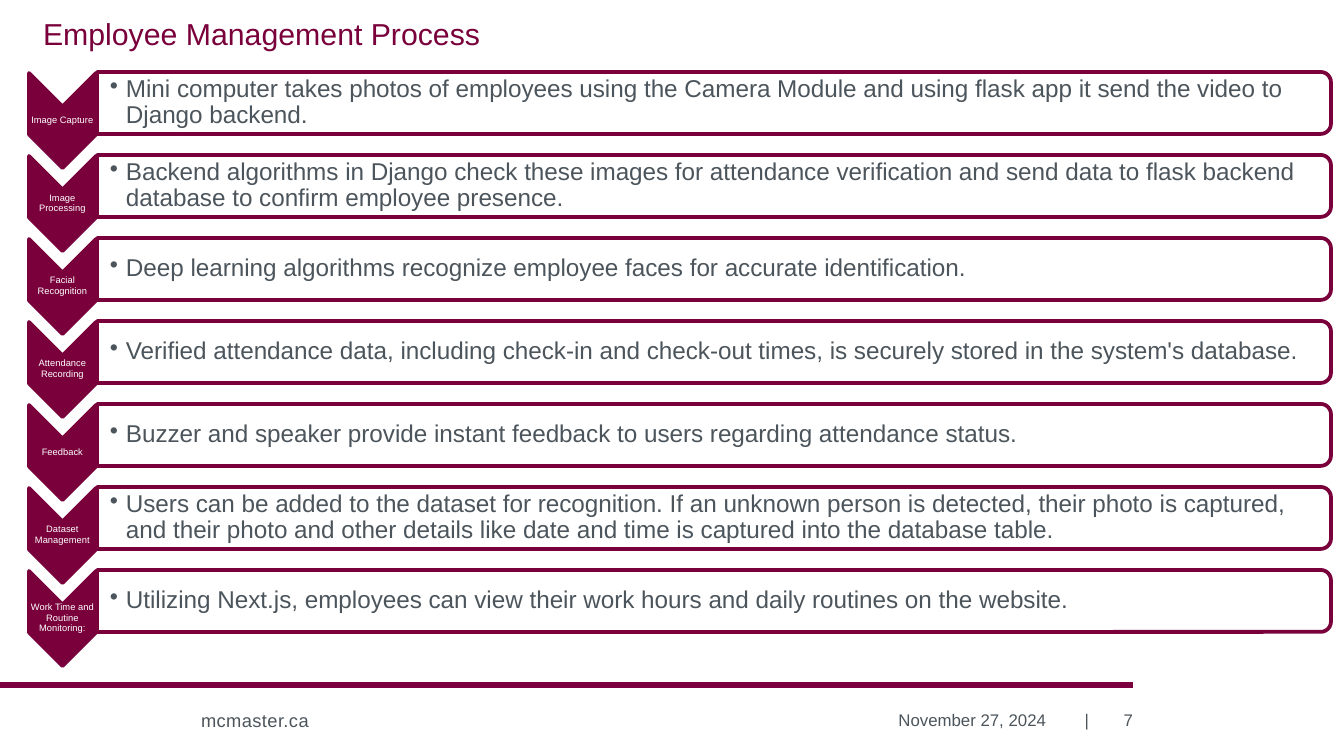
from dataclasses import dataclass

from lxml import etree
from pptx import Presentation
from pptx import util as u
from pptx.dml import color
from pptx.enum import shapes, text
from pptx.oxml import ns

PX = 914400 / 134.4  # EMU in one px
FONT = "Arial"
MAROON, RULE_MAROON, GREY, WHITE = "79003B", "7C0040", "4C555C", "FFFFFF"
ROW_PITCH = 83


@dataclass
class Box:
    left: int
    top: int
    width: int
    height: int

    def below(self, distance: int) -> "Box":
        return Box(self.left, self.top + distance, self.width, self.height)


@dataclass
class Step:
    label: str
    detail: str


CHEVRON = Box(29, 73, 67, 95)
LABEL = Box(29, 106, 67, 28)
PANEL = Box(97, 72, 1234, 62)
DETAIL = Box(97, 75, 1231, 56)

STEPS = [
    Step("Image Capture",
         "Mini computer takes photos of employees using the Camera Module and "
         "using flask app it send the video to Django backend."),
    Step("Image Processing",
         "Backend algorithms in Django check these images for attendance "
         "verification and send data to flask backend database to confirm "
         "employee presence."),
    Step("Facial Recognition",
         "Deep learning algorithms recognize employee faces for accurate "
         "identification."),
    Step("Attendance Recording",
         "Verified attendance data, including check-in and check-out times, is "
         "securely stored in the system's database."),
    Step("Feedback",
         "Buzzer and speaker provide instant feedback to users regarding "
         "attendance status."),
    Step("Dataset Management",
         "Users can be added to the dataset for recognition. If an unknown "
         "person is detected, their photo is captured, and their photo and "
         "other details like date and time is captured into the database table."),
    Step("Work Time and Routine Monitoring:",
         "Utilizing Next.js, employees can view their work hours and daily "
         "routines on the website."),
]


def px(length: float) -> u.Emu:
    return u.Emu(round(length * PX))


def rgb(value: str) -> color.RGBColor:
    return color.RGBColor.from_string(value)


def write(shape, words: str, size: float, ink: str, align=text.PP_ALIGN.LEFT,
          anchor=text.MSO_ANCHOR.MIDDLE, insets=(13, 7, 13, 7), spacing=1.0):
    """Fill a shape with one formatted paragraph and return it."""
    frame = shape.text_frame
    frame.text = words
    frame.word_wrap = True
    frame.auto_size = text.MSO_AUTO_SIZE.NONE
    frame.vertical_anchor = anchor
    (frame.margin_left, frame.margin_top,
     frame.margin_right, frame.margin_bottom) = map(px, insets)
    paragraph = frame.paragraphs[0]
    paragraph.alignment = align
    paragraph.line_spacing = spacing
    font = paragraph.runs[0].font
    font.name, font.size = FONT, u.Pt(size)
    font.color.rgb = rgb(ink)
    return paragraph


def add_words(slide, box: Box, words: str, size: float, ink: str, **layout):
    place = map(px, (box.left, box.top, box.width, box.height))
    return write(slide.shapes.add_textbox(*place), words, size, ink, **layout)


def add_turned(slide, kind, box: Box, fill: str):
    """Add a shape turned a quarter clockwise so that it covers the box."""
    shift = (box.width - box.height) / 2
    shape = slide.shapes.add_shape(
        kind, px(box.left + shift), px(box.top - shift),
        px(box.height), px(box.width))
    shape.rotation = 90
    shape.shadow.inherit = False
    shape.fill.solid()
    shape.fill.fore_color.rgb = rgb(fill)
    shape.line.color.rgb = rgb(MAROON)
    shape.line.width = u.Pt(2)
    return shape


def add_bullet(paragraph, indent: int) -> None:
    properties = paragraph._p.get_or_add_pPr()
    properties.set("marL", str(px(indent)))
    properties.set("indent", str(px(-indent)))
    etree.SubElement(properties, ns.qn("a:buChar"), char="•")


def add_step(slide, step: Step, offset: int) -> None:
    add_turned(slide, shapes.MSO_SHAPE.CHEVRON, CHEVRON.below(offset), MAROON)
    add_words(slide, LABEL.below(offset), step.label, 5, WHITE,
              align=text.PP_ALIGN.CENTER, insets=(0, 0, 0, 0), spacing=0.9)
    panel = add_turned(slide, shapes.MSO_SHAPE.ROUND_2_SAME_RECTANGLE,
                       PANEL.below(offset), WHITE)
    tint = panel.fill._xPr.find(".//" + ns.qn("a:srgbClr"))
    etree.SubElement(tint, ns.qn("a:alpha"), val="90000")
    detail = add_words(slide, DETAIL.below(offset), step.detail, 13, GREY,
                       insets=(13, 1, 1, 1), spacing=0.9)
    add_bullet(detail, 16)


def add_footer(slide) -> None:
    rule = slide.shapes.add_connector(
        shapes.MSO_CONNECTOR.STRAIGHT, 0, px(685), px(1133), px(685))
    rule.line.color.rgb = rgb(RULE_MAROON)
    rule.line.width = u.Pt(3)
    etree.SubElement(rule._element.spPr, ns.qn("a:effectLst"))

    site = add_words(slide, Box(188, 702, 368, 36), "mcmaster.ca", 9.8, GREY,
                     anchor=text.MSO_ANCHOR.TOP)
    site.runs[0]._r.get_or_add_rPr().set("spc", "20")
    right = text.PP_ALIGN.RIGHT
    add_words(slide, Box(1064, 700, 34, 40), "|", 9, GREY,
              align=right, insets=(9, 5, 9, 5))
    add_words(slide, Box(1063, 700, 70, 40), "7", 9, GREY,
              align=right, insets=(13, 7, 0, 7))
    add_words(slide, Box(771, 700, 288, 40), "November 27, 2024", 9, GREY,
              align=right)


def main() -> None:
    deck = Presentation()
    deck.slide_width, deck.slide_height = px(1344), px(756)
    slide = deck.slides.add_slide(deck.slide_layouts[5])

    # Heading
    heading = slide.shapes.title
    heading.left, heading.top = px(30), px(16)
    heading.width, heading.height = px(1290), px(36)
    write(heading, "Employee Management Process", 16.2, MAROON,
          anchor=text.MSO_ANCHOR.BOTTOM, insets=(13, 7, 13, 0), spacing=1.5)

    # Process steps, one row each
    for row, step in enumerate(STEPS):
        add_step(slide, step, row * ROW_PITCH)

    # Rule, site, date and page number
    add_footer(slide)
    deck.save("out.pptx")


if __name__ == "__main__":
    main()
